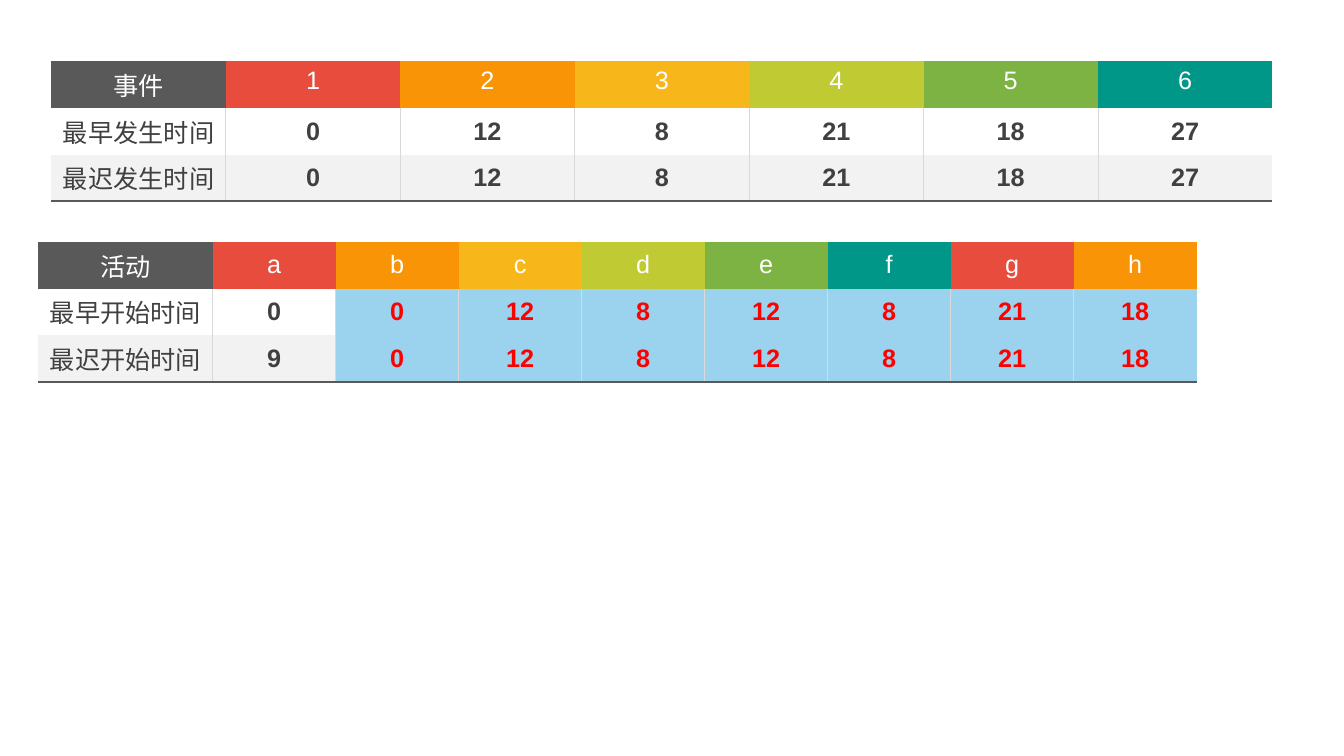
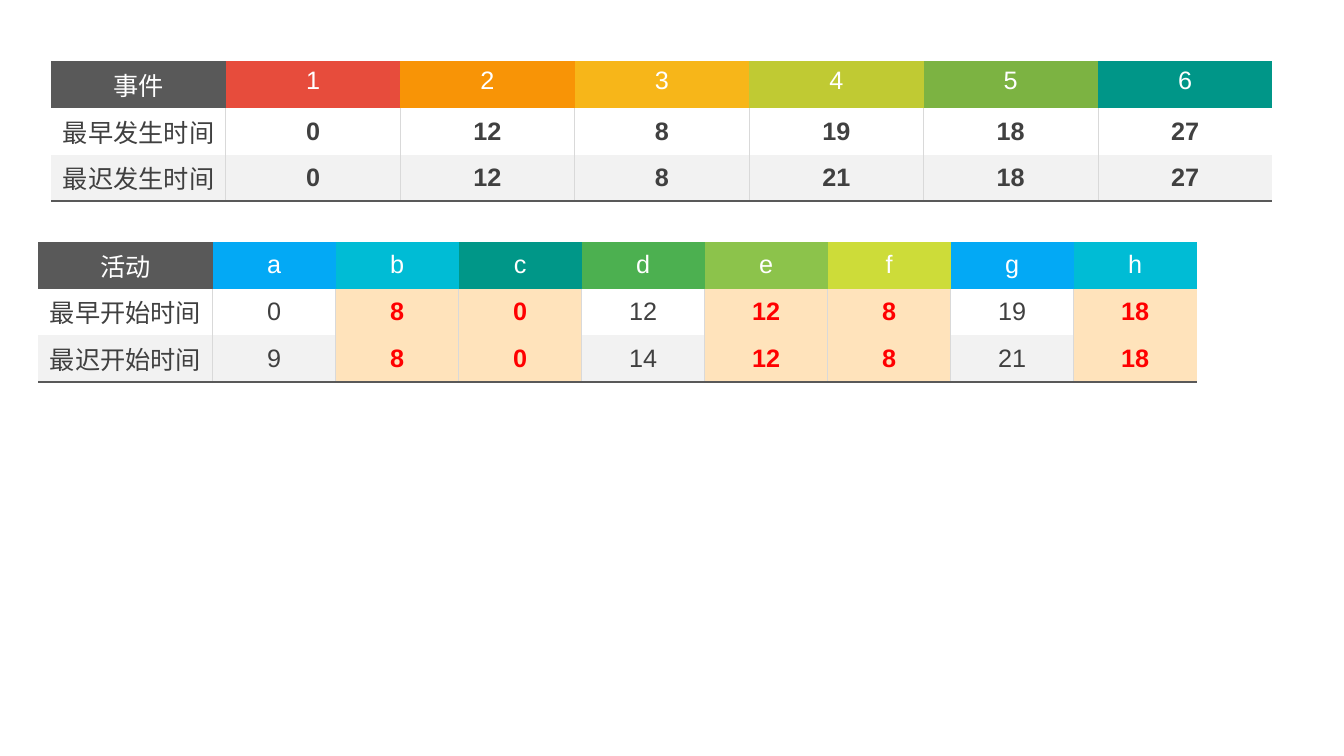
import dataclasses

import lxml.etree
import pptx
import pptx.dml.color
import pptx.enum.lang
import pptx.enum.text
import pptx.oxml.ns
import pptx.util

Inches = pptx.util.Inches
Pt = pptx.util.Pt
qn = pptx.oxml.ns.qn


@dataclasses.dataclass(frozen=True)
class Theme:
    font: str = "Arial"
    size: float = 18
    header_text: str = "FFFFFF"
    body_text: str = "404040"
    critical_text: str = "FF0000"
    dark: str = "595959"
    divider: str = "D9D9D9"
    row_fills: tuple = ("FFFFFF", "F2F2F2")
    warm: tuple = ("E74C3C", "F89406", "F7B619", "C0CA33", "7CB342", "009688")
    cool: tuple = ("03A9F5", "00BCD5", "009788", "4CB050", "8CC34B", "CDDC39")
    blue_mark: str = "9BD3EF"
    orange_mark: str = "FFE3BB"
    label_line: float = 1
    column_line: float = 0.5
    bottom_line: float = 1.5
    plain_table_style: str = "{2D5ABB26-0587-4C30-8999-92F81FD0307C}"


THEME = Theme()
TOP = pptx.enum.text.MSO_ANCHOR.TOP
MIDDLE = pptx.enum.text.MSO_ANCHOR.MIDDLE
LABEL_WIDTH = 1.73
ROW_HEIGHT = 0.41
EVENT_LABELS = ("事件", "最早发生时间", "最迟发生时间")
ACTIVITY_LABELS = ("活动", "最早开始时间", "最迟开始时间")


@dataclasses.dataclass(frozen=True)
class Schedule:
    """Names with their earliest and latest times; equal times are critical if marked."""
    labels: tuple
    names: str
    earliest: tuple
    latest: tuple
    colors: tuple
    mark: str = ""
    bold: bool = True


def rgb(value):
    return pptx.dml.color.RGBColor.from_string(value)


def add_border(cell, side, color, width):
    properties = cell._tc.get_or_add_tcPr()
    line = lxml.etree.SubElement(properties, qn(f"a:ln{side}"), w=str(int(Pt(width))))
    fill = lxml.etree.SubElement(line, qn("a:solidFill"))
    lxml.etree.SubElement(fill, qn("a:srgbClr"), val=color)


def add_body_borders(cell, column, last_column, is_bottom):
    """Borders come before the fill, in the order left, right, bottom."""
    if column > 0:
        width = THEME.label_line if column == 1 else THEME.column_line
        add_border(cell, "L", THEME.divider, width)
    if column < last_column:
        width = THEME.label_line if column == 0 else THEME.column_line
        add_border(cell, "R", THEME.divider, width)
    if is_bottom:
        add_border(cell, "B", THEME.dark, THEME.bottom_line)


def fill_cell(cell, text, fill, color, bold=False, anchor=MIDDLE):
    cell.fill.solid()
    cell.fill.fore_color.rgb = rgb(fill)
    cell.vertical_anchor = anchor
    paragraph = cell.text_frame.paragraphs[0]
    paragraph.alignment = pptx.enum.text.PP_ALIGN.CENTER
    run = paragraph.add_run()
    run.text = str(text)
    run.font.name = THEME.font
    run.font.size = Pt(THEME.size)
    run.font.bold = bold
    run.font.color.rgb = rgb(color)
    run.font.language_id = pptx.enum.lang.MSO_LANGUAGE_ID.SIMPLIFIED_CHINESE


def add_schedule_table(slide, schedule, left, top, column_width, header_anchor):
    last_column = len(schedule.names)
    width = LABEL_WIDTH + last_column * column_width
    frame = slide.shapes.add_table(
        3, last_column + 1, Inches(left), Inches(top), Inches(width), Inches(3 * ROW_HEIGHT))
    table = frame.table
    table.first_row = table.horz_banding = False
    table._tbl.tblPr.find(qn("a:tableStyleId")).text = THEME.plain_table_style
    for index, column in enumerate(table.columns):
        column.width = Inches(column_width if index else LABEL_WIDTH)

    fill_cell(table.cell(0, 0), schedule.labels[0], THEME.dark, THEME.header_text,
              anchor=header_anchor)
    for index, name in enumerate(schedule.names):
        fill_cell(table.cell(0, index + 1), name, schedule.colors[index % len(schedule.colors)],
                  THEME.header_text, anchor=header_anchor)

    for row, times in enumerate((schedule.earliest, schedule.latest), start=1):
        row_fill = THEME.row_fills[row - 1]
        for column, text in enumerate((schedule.labels[row], *times)):
            cell = table.cell(row, column)
            add_body_borders(cell, column, last_column, row == 2)
            critical = (schedule.mark and column > 0
                        and schedule.earliest[column - 1] == schedule.latest[column - 1])
            if critical:
                fill_cell(cell, text, schedule.mark, THEME.critical_text, bold=True)
            else:
                fill_cell(cell, text, row_fill, THEME.body_text,
                          bold=schedule.bold and column > 0)


def add_schedule_slide(presentation, events, activities):
    slide = presentation.slides.add_slide(presentation.slide_layouts[6])
    add_schedule_table(slide, events, 0.51, 0.61, 1.73, TOP)
    add_schedule_table(slide, activities, 0.38, 2.4, 1.22, MIDDLE)


def main():
    presentation = pptx.Presentation()
    presentation.slide_width = Inches(13.33)
    presentation.slide_height = Inches(7.5)
    latest_events = (0, 12, 8, 21, 18, 27)
    starts = (0, 12, 8, 12, 8, 21, 18)
    add_schedule_slide(
        presentation,
        Schedule(EVENT_LABELS, "123456", latest_events, latest_events, THEME.warm),
        Schedule(ACTIVITY_LABELS, "abcdefgh", (0, *starts), (9, *starts), THEME.warm,
                 mark=THEME.blue_mark))
    add_schedule_slide(
        presentation,
        Schedule(EVENT_LABELS, "123456", (0, 12, 8, 19, 18, 27), latest_events, THEME.warm),
        Schedule(ACTIVITY_LABELS, "abcdefgh", (0, 8, 0, 12, 12, 8, 19, 18),
                 (9, 8, 0, 14, 12, 8, 21, 18), THEME.cool,
                 mark=THEME.orange_mark, bold=False))
    presentation.save("out.pptx")


if __name__ == "__main__":
    main()
